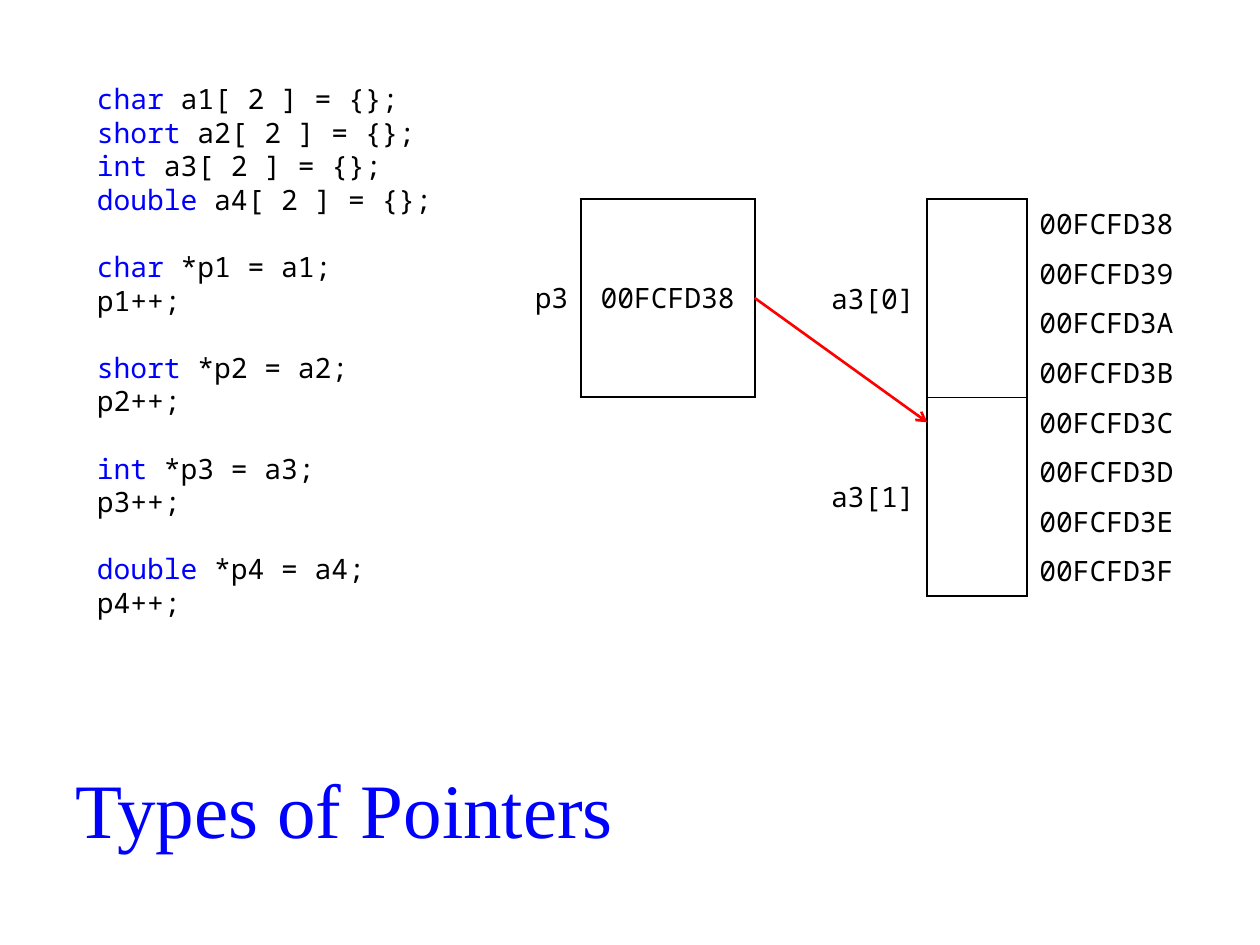
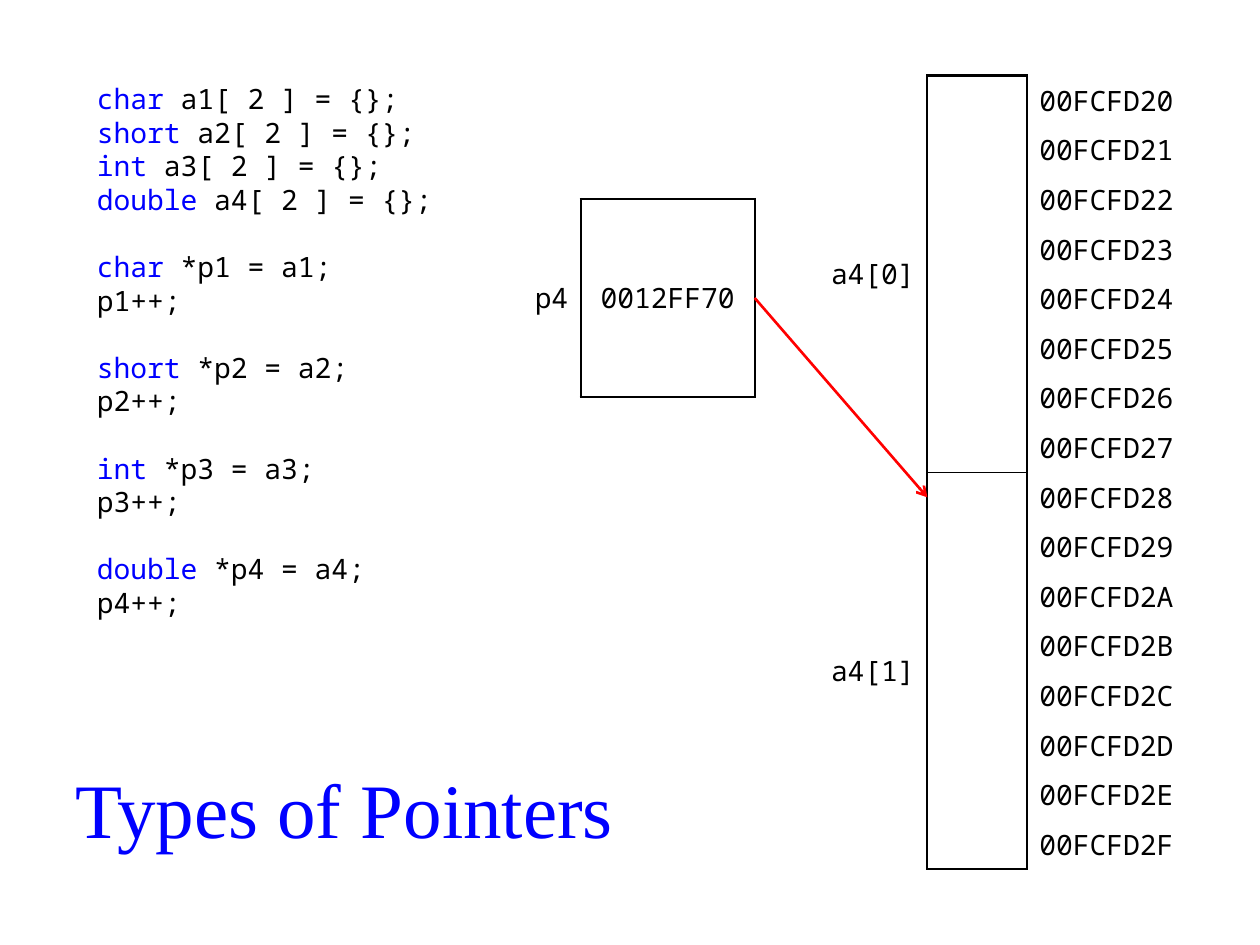
from lxml.etree import SubElement
from pptx import Presentation
from pptx.dml.color import RGBColor
from pptx.enum.shapes import MSO_CONNECTOR as Connector
from pptx.enum.text import MSO_ANCHOR as Anchor, PP_ALIGN as Align
from pptx.oxml.ns import qn
from pptx.util import Inches, Pt

COLORS = {"accent": "0000FF", "ink": "000000", "arrow": "FF0000"}
CODE_FONT, TITLE_FONT = "Noto Sans Mono", "Times New Roman"
PLAIN_TABLE = "{2D5ABB26-0587-4C30-8999-92F81FD0307C}"
TITLE_ONLY = 5
THICK, THIN = 1.5, 1
LINE_PITCH = 19.2
ROW_HEIGHT = 3.15 / 8
POINTER_TOP, POINTER_HEIGHT = 1.58, 1.57
POINTER_LEFT, POINTER_COLUMNS = 4.02, [0.59, 1.38]
MEMORY_LEFT, MEMORY_COLUMNS = 6.38, [0.98, 0.79, 1.38]

CODE_GROUPS = [
    ["char a1[ 2 ] = {};", "short a2[ 2 ] = {};", "int a3[ 2 ] = {};", "double a4[ 2 ] = {};"],
    ["char *p1 = a1;", "p1++;"],
    ["short *p2 = a2;", "p2++;"],
    ["int *p3 = a3;", "p3++;"],
    ["double *p4 = a4;", "p4++;"],
]


def write_text(para, text, *, size=16, font=CODE_FONT, color="ink", align=None):
    if align is not None:
        para.alignment = align
    span = para.add_run()
    span.text = text
    span.font.size = Pt(size)
    span.font.name = font
    span.font.color.rgb = RGBColor.from_string(COLORS[color])


class PointerDeck:
    def __init__(self):
        self.deck = Presentation()
        self.deck.slide_width, self.deck.slide_height = Inches(10), Inches(7.5)
        self.page = None

    def add_page(self, title):
        self.page = self.deck.slides.add_slide(self.deck.slide_layouts[TITLE_ONLY])
        box = self.page.shapes.title
        box.left, box.top = Inches(0.47), Inches(5.92)
        box.width, box.height = Inches(4.53), Inches(0.98)
        box.text_frame.vertical_anchor = Anchor.MIDDLE
        write_text(box.text_frame.paragraphs[0], title, size=44, font=TITLE_FONT,
                   color="accent", align=Align.CENTER)

    def add_code(self, groups):
        box = self.page.shapes.add_textbox(Inches(0.67), Inches(0.6), Inches(2.95), Inches(4.53))
        frame = box.text_frame
        frame.word_wrap = True
        para = frame.paragraphs[0]
        for group in groups:
            for line in group:
                if para is None:
                    para = frame.add_paragraph()
                para.line_spacing = Pt(LINE_PITCH)
                para.space_before = Pt(0)
                para.space_after = Pt(LINE_PITCH if line == group[-1] else 0)
                keyword, gap, rest = line.partition(" ")
                if gap:
                    write_text(para, keyword, color="accent")
                    write_text(para, gap + rest)
                else:
                    write_text(para, line)
                para = None

    def add_grid(self, left, top, columns, rows, row_height):
        frame = self.page.shapes.add_table(rows, len(columns), Inches(left), Inches(top),
                                           Inches(sum(columns)), Inches(rows * row_height))
        table = frame.table
        table.first_row = table.horz_banding = False
        table._tbl.tblPr.find(qn("a:tableStyleId")).text = PLAIN_TABLE
        for column, width in zip(table.columns, columns):
            column.width = Inches(width)
        for row in table.rows:
            row.height = Inches(row_height)
        for cell in table.iter_cells():
            cell.margin_top = cell.margin_bottom = Inches(0.02)
            cell.vertical_anchor = Anchor.MIDDLE
            cell.fill.background()
        return table

    def add_borders(self, cell, **widths):
        props = cell._tc.get_or_add_tcPr()
        sides = [side for side in "LRTB" if side in widths]
        for place, side in enumerate(sides):
            line = SubElement(props, qn(f"a:ln{side}"), w=str(Pt(widths[side])))
            fill = SubElement(line, qn("a:solidFill"))
            SubElement(fill, qn("a:srgbClr"), val=COLORS["ink"])
            props.insert(place, line)

    def add_pointer(self, name, address):
        table = self.add_grid(POINTER_LEFT, POINTER_TOP, POINTER_COLUMNS, 1, POINTER_HEIGHT)
        label, value = table.iter_cells()
        write_text(label.text_frame.paragraphs[0], name, align=Align.RIGHT)
        write_text(value.text_frame.paragraphs[0], address, align=Align.CENTER)
        self.add_borders(label, R=THICK)
        self.add_borders(value, L=THICK, R=THICK, T=THICK, B=THICK)

    def add_memory(self, array, start, element_size, top, top_border):
        rows = 2 * element_size
        table = self.add_grid(MEMORY_LEFT, top, MEMORY_COLUMNS, rows, ROW_HEIGHT)
        for row in range(rows):
            write_text(table.cell(row, 2).text_frame.paragraphs[0], f"{start + row:08X}")
            self.add_borders(table.cell(row, 0), R=THICK)
            self.add_borders(table.cell(row, 2), L=THICK)
        edges = [(top_border, THIN), (THIN, THICK)]
        for index, (upper, lower) in enumerate(edges):
            first = index * element_size
            last = first + element_size - 1
            for row in range(first, last + 1):
                widths = {"L": THICK, "R": THICK}
                if row == first:
                    widths["T"] = upper
                if row in (first, last):
                    widths["B"] = lower
                self.add_borders(table.cell(row, 1), **widths)
            for column in (0, 1):
                table.cell(first, column).merge(table.cell(last, column))
            write_text(table.cell(first, 0).text_frame.paragraphs[0], f"{array}[{index}]",
                       align=Align.RIGHT)

    def add_arrow(self, memory_top, element_size):
        start_x = POINTER_LEFT + sum(POINTER_COLUMNS)
        start_y = POINTER_TOP + POINTER_HEIGHT / 2
        end_x = MEMORY_LEFT + MEMORY_COLUMNS[0]
        end_y = memory_top + (element_size + 0.5) * ROW_HEIGHT
        arrow = self.page.shapes.add_connector(Connector.STRAIGHT, Inches(start_x), Inches(start_y),
                                               Inches(end_x), Inches(end_y))
        arrow.line.color.rgb = RGBColor.from_string(COLORS["arrow"])
        arrow.line.width = Pt(THICK)
        SubElement(arrow.line._get_or_add_ln(), qn("a:tailEnd"), type="arrow")
        SubElement(arrow._element.spPr, qn("a:effectLst"))


def main():
    slides = [
        dict(number=3, address="00FCFD38", start=0x00FCFD38, size=4, top=1.58, top_border=THIN),
        dict(number=4, address="0012FF70", start=0x00FCFD20, size=8, top=0.6, top_border=THICK),
    ]
    pointers = PointerDeck()
    for item in slides:
        pointers.add_page("Types of Pointers")
        pointers.add_code(CODE_GROUPS)
        pointers.add_memory(f"a{item['number']}", item["start"], item["size"], item["top"],
                            item["top_border"])
        pointers.add_pointer(f"p{item['number']}", item["address"])
        pointers.add_arrow(item["top"], item["size"])
    pointers.deck.save("out.pptx")


if __name__ == "__main__":
    main()
